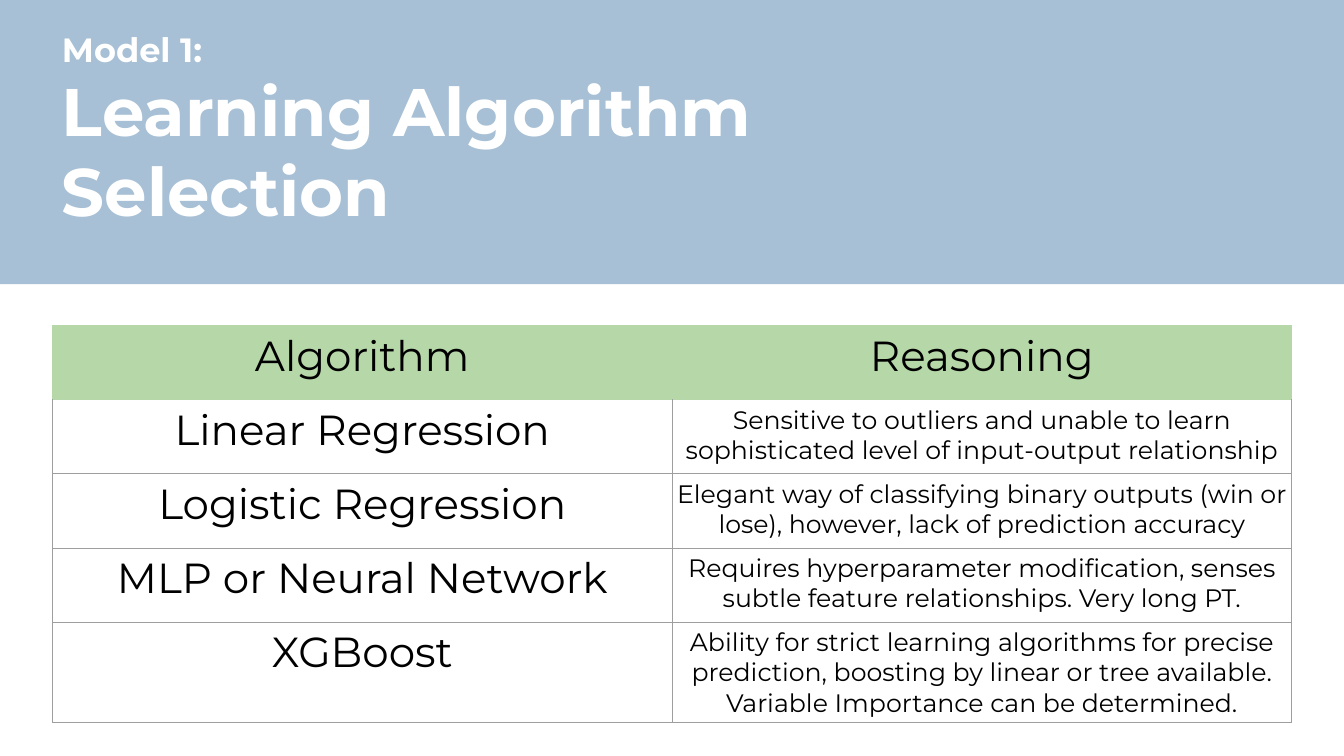
import pptx
import pptx.dml.color
import pptx.enum.shapes
import pptx.enum.text
import pptx.oxml.ns
import pptx.util
from lxml import etree

Inches = pptx.util.Inches
Pt = pptx.util.Pt
FONT = "Montserrat"
BLUE, GREEN, GRAY = "A7C0D5", "B6D7A8", "9E9E9E"
BLACK, WHITE = "000000", "FFFFFF"

# Each row: algorithm, then the paragraphs of its reasoning
ROWS = [
    ("Algorithm", ["Reasoning"]),
    ("Linear Regression",
     ["Sensitive to outliers and unable to learn sophisticated level of "
      "input-output relationship"]),
    ("Logistic Regression",
     ["Elegant way of classifying binary outputs (win or lose), however, "
      "lack of prediction accuracy"]),
    ("MLP or Neural Network",
     ["Requires hyperparameter modification, senses subtle feature "
      "relationships. Very long PT."]),
    ("XGBoost",
     ["Ability for strict learning algorithms for precise prediction, "
      "boosting by linear or tree available.",
      "Variable Importance can be determined."]),
]


def color(code):
    return pptx.dml.color.RGBColor.from_string(code)


def apply(item, values):
    for name, value in values.items():
        setattr(item, name, value)


def write(frame, lines, tint, bold=False, align=None):
    """Fill a text frame with (text, size) paragraphs."""
    for i, (text, size) in enumerate(lines):
        para = frame.add_paragraph() if i else frame.paragraphs[0]
        para.alignment = align
        run = para.add_run()
        run.text = text
        apply(run.font, {"name": FONT, "size": Pt(size), "bold": bold})
        run.font.color.rgb = color(tint)


def add_band(slide, width, height):
    kind = pptx.enum.shapes.MSO_SHAPE.RECTANGLE
    band = slide.shapes.add_shape(kind, 0, 0, width, height)
    band.shadow.inherit = False
    band.fill.solid()
    band.fill.fore_color.rgb = color(BLUE)
    band.line.fill.background()


def add_title(slide, lines):
    box = slide.shapes.add_textbox(
        Inches(1.13), Inches(0.52), Inches(14.39), Inches(1.04))
    box.text_frame.word_wrap = True
    write(box.text_frame, lines, WHITE, bold=True)


def set_edges(cell, tints):
    """Draw the cell borders, given as side: color in schema order."""
    qn = pptx.oxml.ns.qn
    props = cell._tc.get_or_add_tcPr()
    for i, (side, tint) in enumerate(tints.items()):
        line = etree.Element(qn(f"a:ln{side}"), w=str(Pt(0.75)))
        fill = etree.SubElement(line, qn("a:solidFill"))
        etree.SubElement(fill, qn("a:srgbClr"), val=tint)
        props.insert(i, line)


def style_cell(cell, row):
    pad = Inches(0.1)
    apply(cell, {"margin_left": pad, "margin_right": pad,
                 "margin_top": pad, "margin_bottom": pad})
    if row == 0:
        cell.fill.solid()
        cell.fill.fore_color.rgb = color(GREEN)
    else:
        cell.fill.background()
    side = GRAY if row else GREEN
    top = GRAY if row > 1 else GREEN
    set_edges(cell, {"L": side, "R": side, "T": top, "B": side})


def add_grid(slide, rows):
    wide, high = Inches(12.29), Inches(1.47)
    grid = slide.shapes.add_table(
        len(rows), 2, Inches(1.04), Inches(6.46),
        wide * 2, high * len(rows)).table
    apply(grid, {"first_row": False, "horz_banding": False})
    for col in grid.columns:
        col.width = wide
    center = pptx.enum.text.PP_ALIGN.CENTER
    for r, (name, reasons) in enumerate(rows):
        grid.rows[r].height = high
        size = 36 if r else 60
        texts = [[(name, 60)], [(text, size) for text in reasons]]
        for c, lines in enumerate(texts):
            cell = grid.cell(r, c)
            style_cell(cell, r)
            write(cell.text_frame, lines, BLACK, align=center)


def main():
    deck = pptx.Presentation()
    apply(deck, {"slide_width": Inches(26.66), "slide_height": Inches(15)})
    slide = deck.slides.add_slide(deck.slide_layouts[6])

    # Title band
    add_band(slide, deck.slide_width, Inches(5.64))
    add_title(slide, [("Model 1:", 48), ("Learning Algorithm Selection", 96)])

    # Algorithm comparison
    add_grid(slide, ROWS)
    deck.save("out.pptx")


if __name__ == "__main__":
    main()
